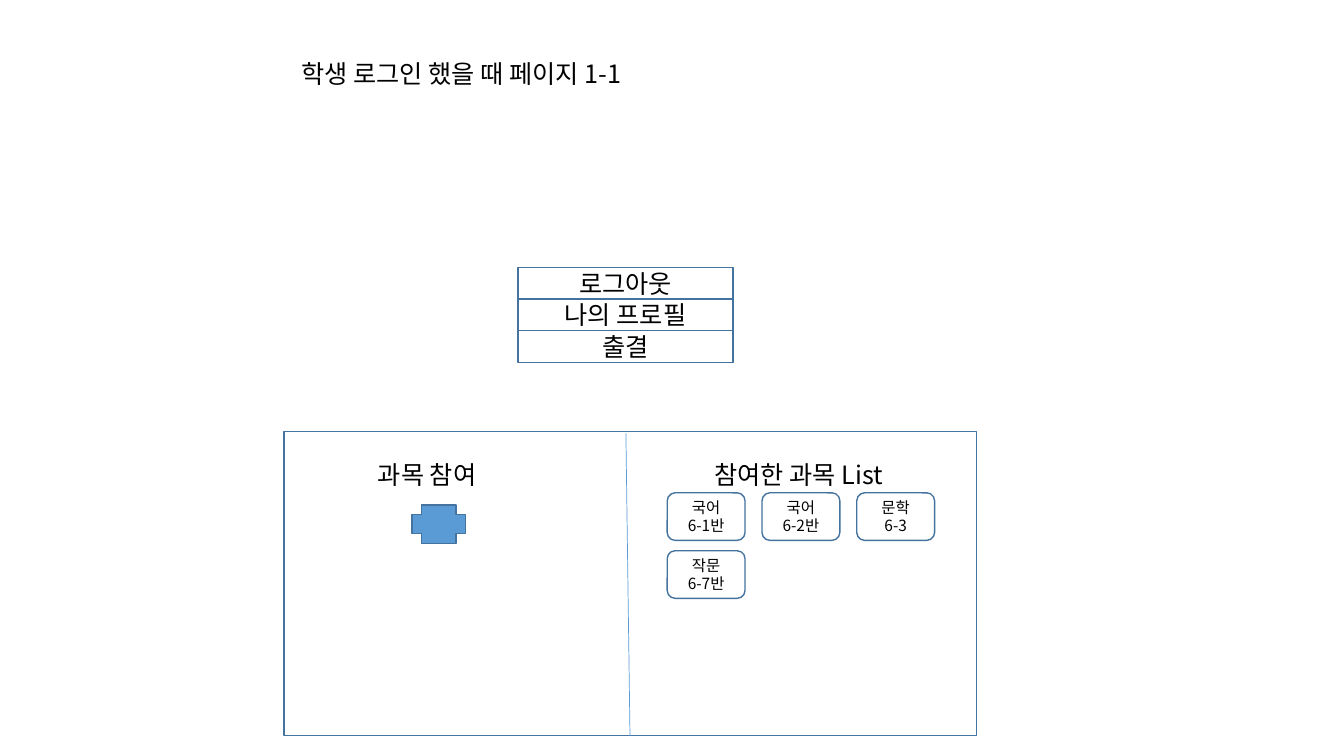
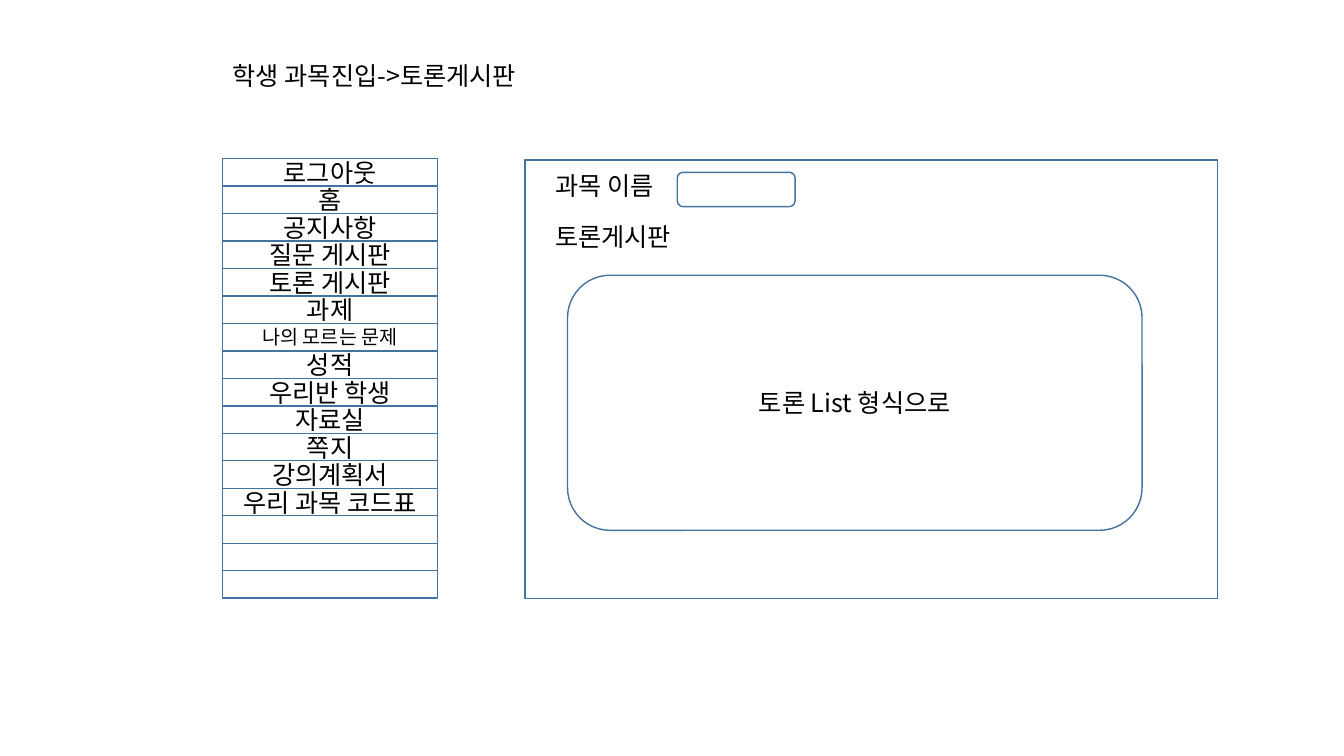
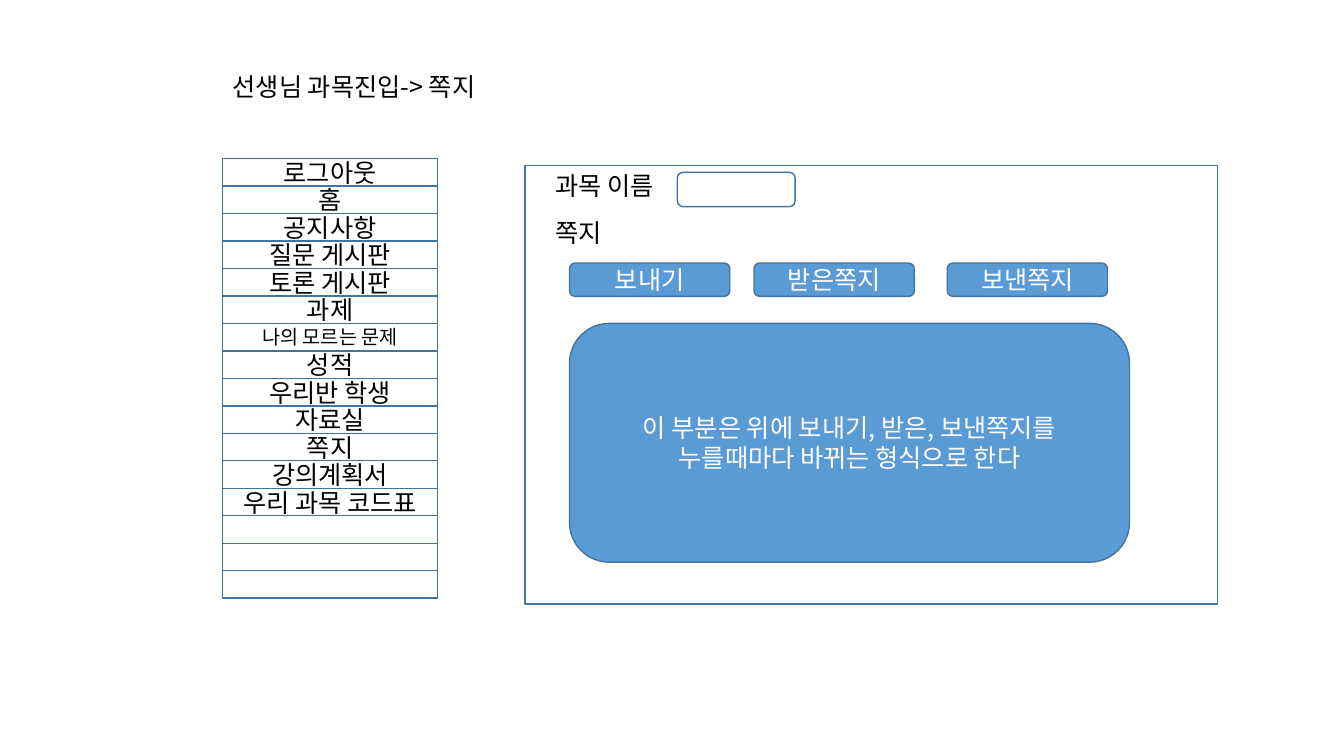
"""Build three wireframe slides for a class site: student home, debate board and messages."""
from dataclasses import dataclass

import pptx
import pptx.dml.color
import pptx.enum.shapes
import pptx.enum.text
import pptx.oxml.ns
import pptx.oxml.xmlchemy
import pptx.presentation
import pptx.slide
import pptx.text.text
import pptx.util

Pt = pptx.util.Pt
RGBColor = pptx.dml.color.RGBColor
Kind = pptx.enum.shapes.MSO_SHAPE
Align = pptx.enum.text.PP_ALIGN
Anchor = pptx.enum.text.MSO_ANCHOR
OxmlElement = pptx.oxml.xmlchemy.OxmlElement

WHITE = RGBColor(0xFF, 0xFF, 0xFF)
BLACK = RGBColor(0x00, 0x00, 0x00)
BLUE = RGBColor(0x5B, 0x9B, 0xD5)
OUTLINE = RGBColor(0x43, 0x73, 0x9E)

FONT = "Noto Sans CJK KR"
BODY_SIZE = 18
SMALL_SIZE = 14
CHIP_SIZE = 11
LINE_FACTOR = 1.2

TITLE_WIDTH = 488.9
LABEL_HEIGHT = 28.8
MENU_WIDTH = 153.4
PANEL_WIDTH = 494.6
LONG_ITEM = "나의 모르는 문제"

HOME_MENU = ["로그아웃", "나의 프로필", "출결"]
SUBJECT_MENU = [
    "로그아웃", "홈", "공지사항", "질문 게시판", "토론 게시판", "과제", LONG_ITEM, "성적",
    "우리반 학생", "자료실", "쪽지", "강의계획서", "우리 과목 코드표", "", "", "",
]
JOINED_SUBJECTS = ["국어\n6-1반", "국어\n6-2반", "문학\n6-3", "작문\n6-7반"]


@dataclass(frozen=True)
class Frame:
    """Position and size in points."""

    left: float
    top: float
    width: float
    height: float

    def lengths(self) -> tuple[pptx.util.Length, ...]:
        """Return the four values as lengths."""
        return Pt(self.left), Pt(self.top), Pt(self.width), Pt(self.height)


@dataclass(frozen=True)
class Block:
    """An outlined shape with optional centred text."""

    frame: Frame
    text: str = ""
    kind: Kind = Kind.RECTANGLE
    fill: RGBColor = WHITE
    size: int = BODY_SIZE


def write_text(text_frame: pptx.text.text.TextFrame, text: str, size: int,
               color: RGBColor, align: Align) -> None:
    """Fill a text frame and format its runs."""
    text_frame.word_wrap = True
    text_frame.text = text
    for para in text_frame.paragraphs:
        para.alignment = align
        para.line_spacing = Pt(size * LINE_FACTOR)
        for span in para.runs:
            span.font.name = FONT
            span.font.size = Pt(size)
            span.font.color.rgb = color
            east_asian = OxmlElement("a:ea")
            east_asian.set("typeface", FONT)
            span.font._element.find(pptx.oxml.ns.qn("a:latin")).addnext(east_asian)


def draw_block(page: pptx.slide.Slide, block: Block) -> None:
    """Draw one outlined shape."""
    box = page.shapes.add_shape(block.kind, *block.frame.lengths())
    box.shadow.inherit = False
    box.fill.solid()
    box.fill.fore_color.rgb = block.fill
    box.line.color.rgb = OUTLINE
    box.line.width = Pt(1)
    if block.text:
        color = BLACK if block.fill == WHITE else WHITE
        box.text_frame.vertical_anchor = Anchor.MIDDLE
        write_text(box.text_frame, block.text, block.size, color, Align.CENTER)


def draw_label(page: pptx.slide.Slide, text: str, left: float, top: float,
               width: float) -> None:
    """Draw plain left-aligned text."""
    box = page.shapes.add_textbox(*Frame(left, top, width, LABEL_HEIGHT).lengths())
    write_text(box.text_frame, text, BODY_SIZE, BLACK, Align.LEFT)


def draw_menu(page: pptx.slide.Slide, items: list[str], left: float, top: float,
              row: float) -> None:
    """Stack the menu items as touching rows."""
    for index, item in enumerate(items):
        size = SMALL_SIZE if item == LONG_ITEM else BODY_SIZE
        frame = Frame(left, top + index * row, MENU_WIDTH, row)
        draw_block(page, Block(frame, item, size=size))


def draw_divider(page: pptx.slide.Slide, start: tuple[float, float],
                 end: tuple[float, float]) -> None:
    """Draw the thin line between the two halves of the home panel."""
    line = page.shapes.add_connector(
        pptx.enum.shapes.MSO_CONNECTOR.STRAIGHT, *map(Pt, start + end))
    line.line.color.rgb = BLUE
    line.line.width = Pt(0.5)
    line._element.spPr.append(OxmlElement("a:effectLst"))


def add_page(deck: pptx.presentation.Presentation, title: str, left: float,
             top: float) -> pptx.slide.Slide:
    """Add a blank page with its title."""
    page = deck.slides.add_slide(deck.slide_layouts[6])
    draw_label(page, title, left, top, TITLE_WIDTH)
    return page


def add_home_page(deck: pptx.presentation.Presentation) -> None:
    """Add the page a student sees after logging in."""
    page = add_page(deck, "학생 로그인 했을 때 페이지 1-1", 208.1, 38.2)
    draw_menu(page, HOME_MENU, 370.1, 191, 22.6)
    draw_block(page, Block(Frame(202.8, 308.2, PANEL_WIDTH, 217.4)))
    draw_block(page, Block(Frame(294.3, 360.7, 38.2, 27.4), kind=Kind.CROSS, fill=BLUE))
    draw_label(page, "과목 참여", 262.8, 324.7, 115.9)
    draw_divider(page, (447.1, 309.6), (450, 525.6))
    draw_label(page, "참여한 과목 List", 503.3, 324.7, 156.2)
    for index, subject in enumerate(JOINED_SUBJECTS):
        row, column = divmod(index, 3)
        frame = Frame(476.6 + column * 67.7, 352 + row * 41.4, 55.6, 34)
        draw_block(page, Block(frame, subject, Kind.ROUNDED_RECTANGLE, size=CHIP_SIZE))


def add_subject_page(deck: pptx.presentation.Presentation, title: str, title_top: float,
                     panel_top: float, heading: str, heading_top: float,
                     blocks: list[Block]) -> None:
    """Add a page inside a subject, with the side menu and a content panel."""
    page = add_page(deck, title, 159.1, title_top)
    draw_block(page, Block(Frame(375.1, panel_top, PANEL_WIDTH, 313.2)))
    draw_label(page, "과목 이름", 389.5, 118.1, 115.9)
    draw_block(page, Block(Frame(483.8, 123.1, 84.2, 24.5), kind=Kind.ROUNDED_RECTANGLE))
    draw_label(page, heading, 389.5, heading_top, 115.9)
    for block in blocks:
        draw_block(page, block)
    draw_menu(page, SUBJECT_MENU, 159.1, 113.2, 19.63)


def main() -> None:
    """Build and save the deck."""
    deck = pptx.Presentation()
    deck.slide_width, deck.slide_height = Pt(960), Pt(540)
    add_home_page(deck)

    debate_list = Block(Frame(405.4, 196.6, 410.4, 182.2), "토론 List 형식으로",
                        Kind.ROUNDED_RECTANGLE)
    add_subject_page(deck, "학생 과목진입->토론게시판", 39.6, 114.4, "토론게시판", 154.8,
                     [debate_list])

    buttons = [("보내기", 406.8), ("받은쪽지", 538.6), ("보낸쪽지", 676.6)]
    message_blocks = [
        Block(Frame(left, 187.9, 114.5, 23.8), text, Kind.ROUNDED_RECTANGLE, BLUE)
        for text, left in buttons
    ]
    message_blocks.append(Block(
        Frame(406.8, 231, 400, 170.6),
        "이 부분은 위에 보내기, 받은, 보낸쪽지를 누를때마다 바뀌는 형식으로 한다",
        Kind.ROUNDED_RECTANGLE, BLUE))
    add_subject_page(deck, "선생님 과목진입-> 쪽지", 47.7, 118.3, "쪽지", 151.5,
                     message_blocks)
    deck.save("out.pptx")


main()
